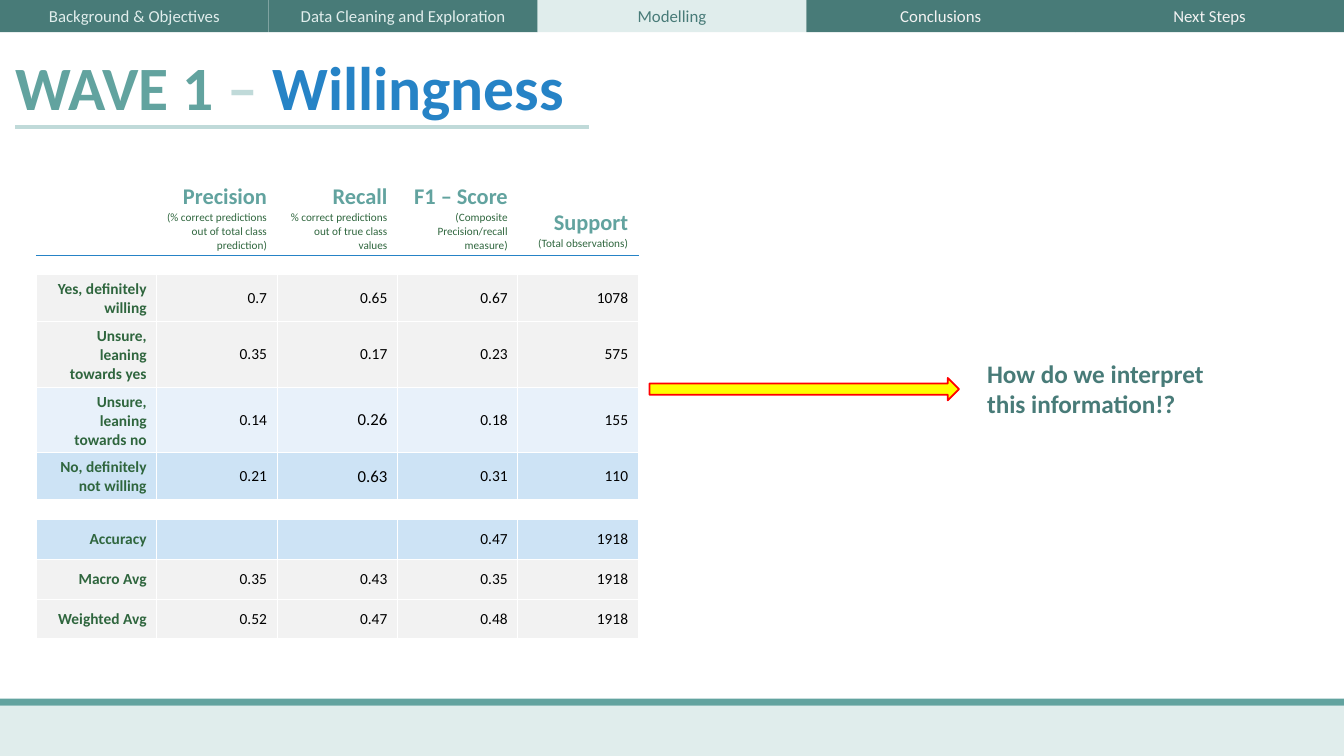
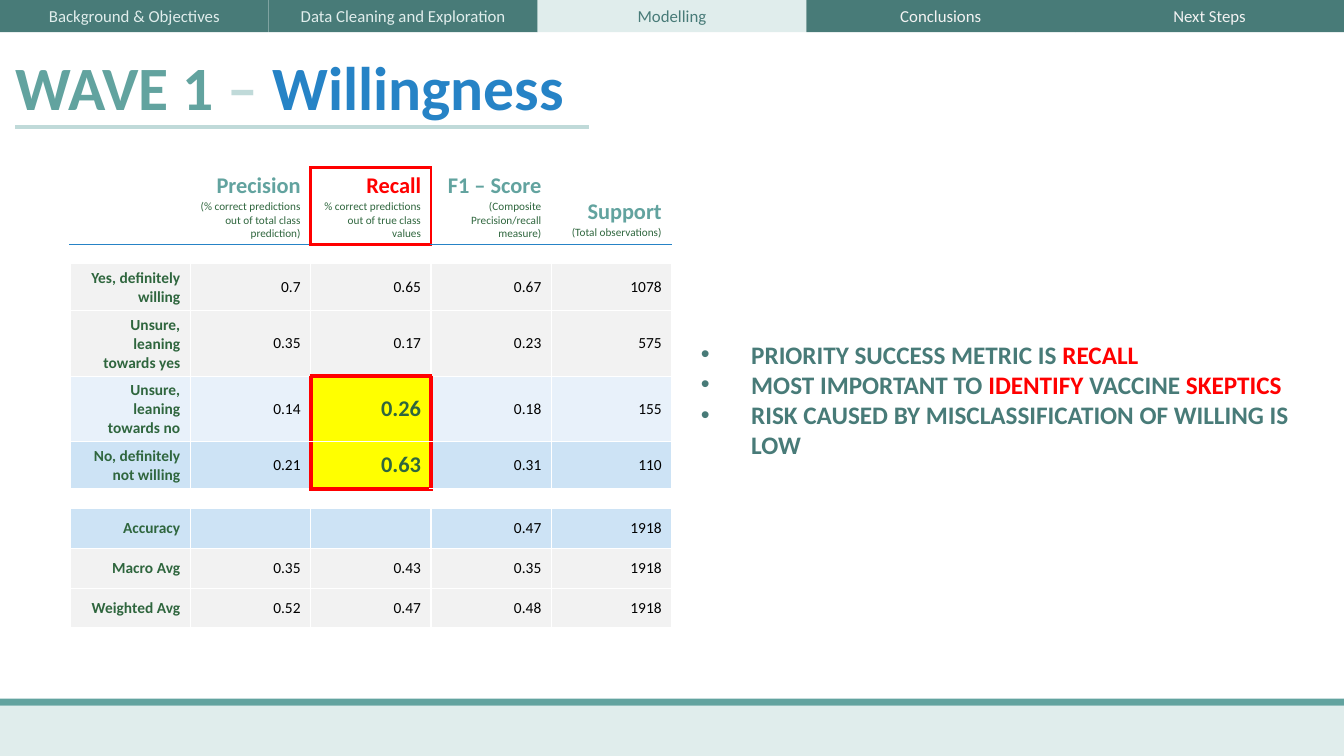
"""Build two slides that present the Wave 1 willingness classification report."""
from dataclasses import dataclass
from typing import NamedTuple

from lxml.etree import SubElement
from pptx import Presentation
from pptx.dml.color import RGBColor
from pptx.enum.shapes import MSO_AUTO_SHAPE_TYPE as ShapeType, MSO_CONNECTOR as Connector
from pptx.enum.text import MSO_VERTICAL_ANCHOR as Anchor, PP_PARAGRAPH_ALIGNMENT as Align
from pptx.oxml.ns import qn
from pptx.util import Pt

WHITE = RGBColor(0xFF, 0xFF, 0xFF)
BLACK = RGBColor(0x00, 0x00, 0x00)
RED = RGBColor(0xFF, 0x00, 0x00)
YELLOW = RGBColor(0xFF, 0xFF, 0x00)
BLUE = RGBColor(0x26, 0x83, 0xC6)
GREEN = RGBColor(0x2F, 0x66, 0x3E)
TEAL = RGBColor(0x62, 0xA3, 0x9F)
DARK_TEAL = RGBColor(0x48, 0x7B, 0x78)
LIGHT_TEAL = RGBColor(0xC0, 0xDA, 0xD9)
PALE_TEAL = RGBColor(0xE0, 0xED, 0xEC)
GRAY = RGBColor(0xF2, 0xF2, 0xF2)
PALE_BLUE = RGBColor(0xE8, 0xF1, 0xFA)
LIGHT_BLUE = RGBColor(0xCD, 0xE3, 0xF5)

FONT = "Calibri"
SLIDE_WIDTH, SLIDE_HEIGHT = 960, 540
TAB_HEIGHT = 23
COLUMN_WIDTH = 86
HEADER_HEIGHT = 54.7
RECALL_COLUMN = 2
SKEPTIC_ROWS = (4, 5)


class Box(NamedTuple):
    left: float
    top: float
    width: float
    height: float


class Piece(NamedTuple):
    text: str
    color: RGBColor


class Tab(NamedTuple):
    text: str
    color: RGBColor
    fill: RGBColor = DARK_TEAL


class Header(NamedTuple):
    name: str
    note: str


class Line(NamedTuple):
    color: RGBColor
    width: float


@dataclass(frozen=True)
class Row:
    height: float
    values: tuple[str, ...] = ()
    fill: RGBColor | None = None


@dataclass(frozen=True)
class Outline:
    first_row: int
    last_row: int
    width: float


TABS = (
    Tab("Background & Objectives", PALE_TEAL),
    Tab("Data Cleaning and Exploration", PALE_TEAL),
    Tab("Modelling", DARK_TEAL, PALE_TEAL),
    Tab("Conclusions", GRAY),
    Tab("Next Steps", GRAY),
)
TITLE = (Piece("WAVE 1 ", TEAL), Piece("– ", LIGHT_TEAL), Piece("Willingness", BLUE))
HEADERS = (
    Header("", ""),
    Header("Precision", "(% correct predictions out of total class prediction)"),
    Header("Recall", "% correct predictions out of true class values"),
    Header("F1 – Score", "(Composite Precision/recall measure)"),
    Header("Support", "(Total observations)"),
)
ROWS = (
    Row(13.5),
    Row(33.5, ("Yes, definitely willing", "0.7", "0.65", "0.67", "1078"), GRAY),
    Row(46.5, ("Unsure, leaning towards yes", "0.35", "0.17", "0.23", "575"), GRAY),
    Row(46.5, ("Unsure, leaning towards no", "0.14", "0.26", "0.18", "155"), PALE_BLUE),
    Row(33.5, ("No, definitely not willing", "0.21", "0.63", "0.31", "110"), LIGHT_BLUE),
    Row(14),
    Row(28.5, ("Accuracy", "", "", "0.47", "1918"), LIGHT_BLUE),
    Row(28.5, ("Macro Avg", "0.35", "0.43", "0.35", "1918"), GRAY),
    Row(28.5, ("Weighted Avg", "0.52", "0.47", "0.48", "1918"), GRAY),
)
RECALL_OUTLINES = (Outline(0, 0, 2.25), Outline(*SKEPTIC_ROWS, 3))
QUESTION = ((Piece("How do we interpret this information!?", DARK_TEAL),),)
FINDINGS = (
    (Piece("PRIORITY SUCCESS METRIC IS ", DARK_TEAL), Piece("RECALL", RED)),
    (Piece("MOST IMPORTANT TO ", DARK_TEAL), Piece("IDENTIFY", RED),
     Piece(" VACCINE ", DARK_TEAL), Piece("SKEPTICS", RED)),
    (Piece("RISK CAUSED BY MISCLASSIFICATION OF WILLING IS LOW", DARK_TEAL),),
)


def style(paragraph, size: float, color: RGBColor | None = None, bold: bool = False) -> None:
    """Set the font of a whole paragraph."""
    font = paragraph.font
    font.name, font.size, font.bold = FONT, Pt(size), bold
    if color is not None:
        font.color.rgb = color


def add_shape(slide, kind: ShapeType, box: Box, fill: RGBColor, line: Line | None = None):
    """Draw a filled preset shape without a shadow."""
    shape = slide.shapes.add_shape(kind, *map(Pt, box))
    shape.shadow.inherit = False
    shape.fill.solid()
    shape.fill.fore_color.rgb = fill
    if line is None:
        shape.line.fill.background()
    else:
        shape.line.color.rgb, shape.line.width = line.color, Pt(line.width)
    return shape


def add_bullet(paragraph) -> None:
    """Give a paragraph a hanging round bullet."""
    properties = paragraph._p.get_or_add_pPr()
    properties.set("marL", str(Pt(36)))
    properties.set("indent", str(Pt(-36)))
    SubElement(properties, qn("a:buFont"), typeface="Arial")
    SubElement(properties, qn("a:buChar"), char="•")


def add_text(slide, box: Box, lines: tuple[tuple[Piece, ...], ...], size: float = 18,
             bulleted: bool = False):
    """Draw a wrapped text box of bold coloured pieces and return its frame."""
    frame = slide.shapes.add_textbox(*map(Pt, box)).text_frame
    frame.word_wrap = True
    for index, pieces in enumerate(lines):
        paragraph = frame.add_paragraph() if index else frame.paragraphs[0]
        if bulleted:
            add_bullet(paragraph)
        style(paragraph, size, bold=True)
        for piece in pieces:
            run = paragraph.add_run()
            run.text = piece.text
            run.font.color.rgb = piece.color
    return frame


def add_frame(slide) -> None:
    """Draw the footer bands, the navigation tabs and the title."""
    add_shape(slide, ShapeType.RECTANGLE, Box(0, 504, SLIDE_WIDTH, 36), PALE_TEAL)
    add_shape(slide, ShapeType.RECTANGLE, Box(0, 499, SLIDE_WIDTH, 5), TEAL)
    tab_width = SLIDE_WIDTH / len(TABS)
    for index, tab in enumerate(TABS):
        box = Box(index * tab_width, 0, tab_width, TAB_HEIGHT)
        frame = add_shape(slide, ShapeType.RECTANGLE, box, tab.fill).text_frame
        frame.vertical_anchor = Anchor.MIDDLE
        paragraph = frame.paragraphs[0]
        paragraph.text, paragraph.alignment = tab.text, Align.CENTER
        style(paragraph, 12, tab.color)
    title = add_text(slide, Box(10.8, 39, 409.7, 51.7), (TITLE,), 44)
    title.margin_left = title.margin_right = 0
    title.vertical_anchor = Anchor.MIDDLE
    title.paragraphs[0].line_spacing = 0.9
    rule = slide.shapes.add_connector(
        Connector.STRAIGHT, Pt(10.8), Pt(90.7), Pt(420.5), Pt(90.7))
    rule.line.color.rgb, rule.line.width = LIGHT_TEAL, Pt(2.25)
    SubElement(rule._element.spPr, qn("a:effectLst"))


def cell_borders(row: int, column: int, outlines: tuple[Outline, ...]) -> dict[str, Line]:
    """Work out the four border lines of a cell."""
    borders = dict.fromkeys("LRTB", Line(WHITE, 1))
    if row < 2:
        borders["T" if row else "B"] = Line(BLUE, 1)
    for outline in outlines:
        inside = outline.first_row <= row <= outline.last_row
        in_column = column == RECALL_COLUMN
        red_sides = {
            "L": inside and column in (RECALL_COLUMN, RECALL_COLUMN + 1),
            "R": inside and column in (RECALL_COLUMN, RECALL_COLUMN - 1),
            "T": in_column and row == outline.first_row,
            "B": in_column and row in (outline.first_row - 1, outline.last_row),
        }
        borders |= {side: Line(RED, outline.width) for side, red in red_sides.items() if red}
    return borders


def paint_cell(cell, fill: RGBColor | None, borders: dict[str, Line]) -> None:
    """Set the border lines and the fill of a cell."""
    properties = cell._tc.get_or_add_tcPr()
    for side, line in borders.items():
        border = SubElement(properties, qn(f"a:ln{side}"), w=str(Pt(line.width)))
        solid = SubElement(border, qn("a:solidFill"))
        SubElement(solid, qn("a:srgbClr"), val=str(line.color))
    if fill is None:
        cell.fill.background()
    else:
        cell.fill.solid()
        cell.fill.fore_color.rgb = fill


def write_cell(cell, text: str, size: float, color: RGBColor, bold: bool) -> None:
    """Write one right-aligned value, or keep an empty cell small."""
    cell.vertical_anchor = Anchor.MIDDLE
    paragraph = cell.text_frame.paragraphs[0]
    if text:
        paragraph.text, paragraph.alignment = text, Align.RIGHT
        style(paragraph, size, color, bold)
    else:
        SubElement(paragraph._p, qn("a:endParaRPr"), sz="500")


def write_header(cell, header: Header, color: RGBColor) -> None:
    """Write a column name with its small note."""
    write_cell(cell, header.name, 16, color, True)
    cell.vertical_anchor = Anchor.BOTTOM
    if header.note:
        note = cell.text_frame.add_paragraph()
        note.text, note.alignment = header.note, Align.RIGHT
        style(note, 8, GREEN)


def add_report(slide, left: float, top: float, highlighted: bool) -> None:
    """Draw the classification report, with recall highlighted on request."""
    heights = (HEADER_HEIGHT, *(row.height for row in ROWS))
    box = Box(left, top, COLUMN_WIDTH * len(HEADERS), sum(heights))
    table = slide.shapes.add_table(len(heights), len(HEADERS), *map(Pt, box)).table
    table.first_row = table.horz_banding = False
    outlines = RECALL_OUTLINES if highlighted else ()
    for index, height in enumerate(heights):
        table.rows[index].height = Pt(height)
    for column, header in enumerate(HEADERS):
        table.columns[column].width = Pt(COLUMN_WIDTH)
        cell = table.cell(0, column)
        paint_cell(cell, None, cell_borders(0, column, outlines))
        marked = highlighted and column == RECALL_COLUMN
        write_header(cell, header, RED if marked else TEAL)
    for index, row in enumerate(ROWS, start=1):
        for column, text in enumerate(row.values or ("",) * len(HEADERS)):
            cell = table.cell(index, column)
            key_value = column == RECALL_COLUMN and index in SKEPTIC_ROWS
            marked = highlighted and key_value
            fill = YELLOW if marked else row.fill
            paint_cell(cell, fill, cell_borders(index, column, outlines))
            size = 16 if marked else 12 if key_value else 11
            strong = marked or column == 0
            write_cell(cell, text, size, GREEN if strong else BLACK, strong)
            if not row.values:
                cell.margin_top = cell.margin_bottom = 0
        if not row.values:
            table.cell(index, 0).merge(table.cell(index, len(HEADERS) - 1))


def main() -> None:
    """Build and save the presentation."""
    presentation = Presentation()
    presentation.slide_width, presentation.slide_height = Pt(SLIDE_WIDTH), Pt(SLIDE_HEIGHT)
    blank = presentation.slide_layouts[6]

    slide = presentation.slides.add_slide(blank)
    add_frame(slide)
    add_report(slide, 26, 127.4, highlighted=False)
    add_shape(slide, ShapeType.RIGHT_ARROW, Box(464, 270, 221, 16), YELLOW, Line(RED, 1.25))
    add_text(slide, Box(698, 252.5, 170, 51), QUESTION)

    slide = presentation.slides.add_slide(blank)
    add_frame(slide)
    add_text(slide, Box(493.5, 238.5, 435, 94.5), FINDINGS, bulleted=True)
    add_report(slide, 50, 119.5, highlighted=True)

    presentation.save("out.pptx")


if __name__ == "__main__":
    main()
